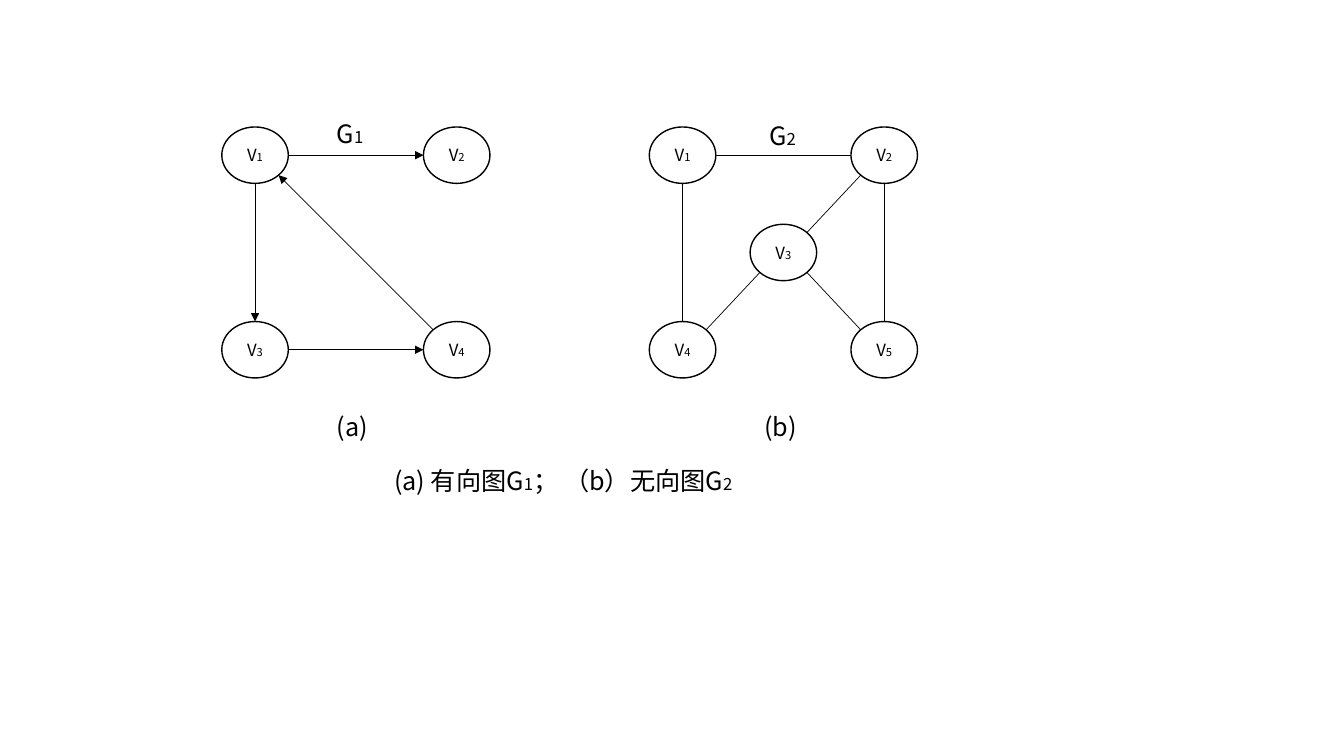
from dataclasses import dataclass
from math import sqrt

from lxml.etree import SubElement
from pptx import Presentation
from pptx.dml.color import RGBColor
from pptx.enum.shapes import MSO_CONNECTOR as CONN, MSO_SHAPE as SHAPE
from pptx.enum.text import MSO_ANCHOR as ANCHOR, MSO_AUTO_SIZE as AUTO, PP_ALIGN as ALIGN
from pptx.oxml.ns import qn
from pptx.util import Inches, Pt


@dataclass(frozen=True)
class Theme:
    font: str = "Noto Sans CJK SC"
    ink: RGBColor = RGBColor(0, 0, 0)
    paper: RGBColor = RGBColor(255, 255, 255)
    text: int = 18
    text_sub: int = 12
    node: int = 12
    node_sub: int = 8
    node_line: float = 1
    edge_line: float = 0.5


THEME = Theme()
NODE_W, NODE_H = 0.66, 0.56
STEP_X, STEP_Y = 2, 1.93

DIRECTED = {
    "nodes": {"1": (0, 0), "3": (0, 1), "4": (1, 1), "2": (1, 0)},
    "edges": ["13", "34", "41", "12"],
    "arrows": True,
    "name": "1",
    "name_at": (1.04, -0.14),
    "tag": "(a)",
}
UNDIRECTED = {
    "nodes": {"1": (0, 0), "4": (0, 1), "5": (1, 1), "2": (1, 0), "3": (0.5, 0.5)},
    "edges": ["14", "12", "43", "32", "25", "35"],
    "arrows": False,
    "name": "2",
    "name_at": (1.09, -0.12),
    "tag": "(b)",
}


def add_runs(p, runs):
    for text, size in runs:
        r = p.add_run()
        r.text = text
        for key, value in {"size": Pt(size), "name": THEME.font}.items():
            setattr(r.font, key, value)
        r.font.color.rgb = THEME.ink
        SubElement(r.font._element, qn("a:ea"), typeface=THEME.font)


def add_label(shapes, x, y, w, runs, wrap=True):
    tf = shapes.add_textbox(Inches(x), Inches(y), Inches(w), Inches(0.4)).text_frame
    for key, value in {"word_wrap": wrap, "auto_size": AUTO.SHAPE_TO_FIT_TEXT}.items():
        setattr(tf, key, value)
    add_runs(tf.paragraphs[0], runs)


def add_node(shapes, x, y, number):
    sp = shapes.add_shape(SHAPE.OVAL, Inches(x), Inches(y), Inches(NODE_W), Inches(NODE_H))
    sp.shadow.inherit = False
    sp.fill.solid()
    sp.fill.fore_color.rgb = THEME.paper
    sp.line.color.rgb = THEME.ink
    sp.line.width = Pt(THEME.node_line)
    tf = sp.text_frame
    frame = {"vertical_anchor": ANCHOR.MIDDLE, "word_wrap": False}
    frame |= dict.fromkeys(["margin_left", "margin_right", "margin_top", "margin_bottom"], 0)
    for key, value in frame.items():
        setattr(tf, key, value)
    p = tf.paragraphs[0]
    p.alignment = ALIGN.CENTER
    add_runs(p, [("V", THEME.node), (number, THEME.node_sub)])


def rim_point(center, other):
    dx, dy = ((b > a) - (b < a) for a, b in zip(center, other))
    scale = 1 / sqrt(2) if dx and dy else 1
    return center[0] + dx * scale * NODE_W / 2, center[1] + dy * scale * NODE_H / 2


def add_edge(shapes, start, end, arrow):
    points = rim_point(start, end) + rim_point(end, start)
    cx = shapes.add_connector(CONN.STRAIGHT, *map(Inches, points))
    cx.line.color.rgb = THEME.ink
    cx.line.width = Pt(THEME.edge_line)
    if arrow:
        SubElement(cx.line._get_or_add_ln(), qn("a:tailEnd"), type="triangle")
    SubElement(cx._element.spPr, qn("a:effectLst"))


def add_graph(shapes, x, y, graph):
    parts = shapes.add_group_shape().shapes
    centers = {}
    for number, (col, row) in graph["nodes"].items():
        left, top = x + col * STEP_X, y + row * STEP_Y
        centers[number] = left + NODE_W / 2, top + NODE_H / 2
        add_node(parts, left, top, number)
    for start, end in graph["edges"]:
        add_edge(parts, centers[start], centers[end], graph["arrows"])
    dx, dy = graph["name_at"]
    name = [("G", THEME.text), (graph["name"], THEME.text_sub)]
    add_label(shapes, x + dx, y + dy, 0.48, name, wrap=False)
    add_label(shapes, x + 1.04, y + 2.77, 0.57, [(graph["tag"], THEME.text)])


def add_caption(shapes, x, y, w):
    add_label(shapes, x, y, w, [
        ("(a) 有向图G", THEME.text), ("1", THEME.text_sub),
        ("； （b）无向图G", THEME.text), ("2", THEME.text_sub),
    ])


def main():
    prs = Presentation()
    prs.slide_width, prs.slide_height = Inches(13.33), Inches(7.5)
    shapes = prs.slides.add_slide(prs.slide_layouts[6]).shapes
    add_graph(shapes, 2.2, 1.26, DIRECTED)
    add_graph(shapes, 6.44, 1.26, UNDIRECTED)
    add_caption(shapes, 3.81, 4.57, 3.58)
    prs.save("out.pptx")


if __name__ == "__main__":
    main()
